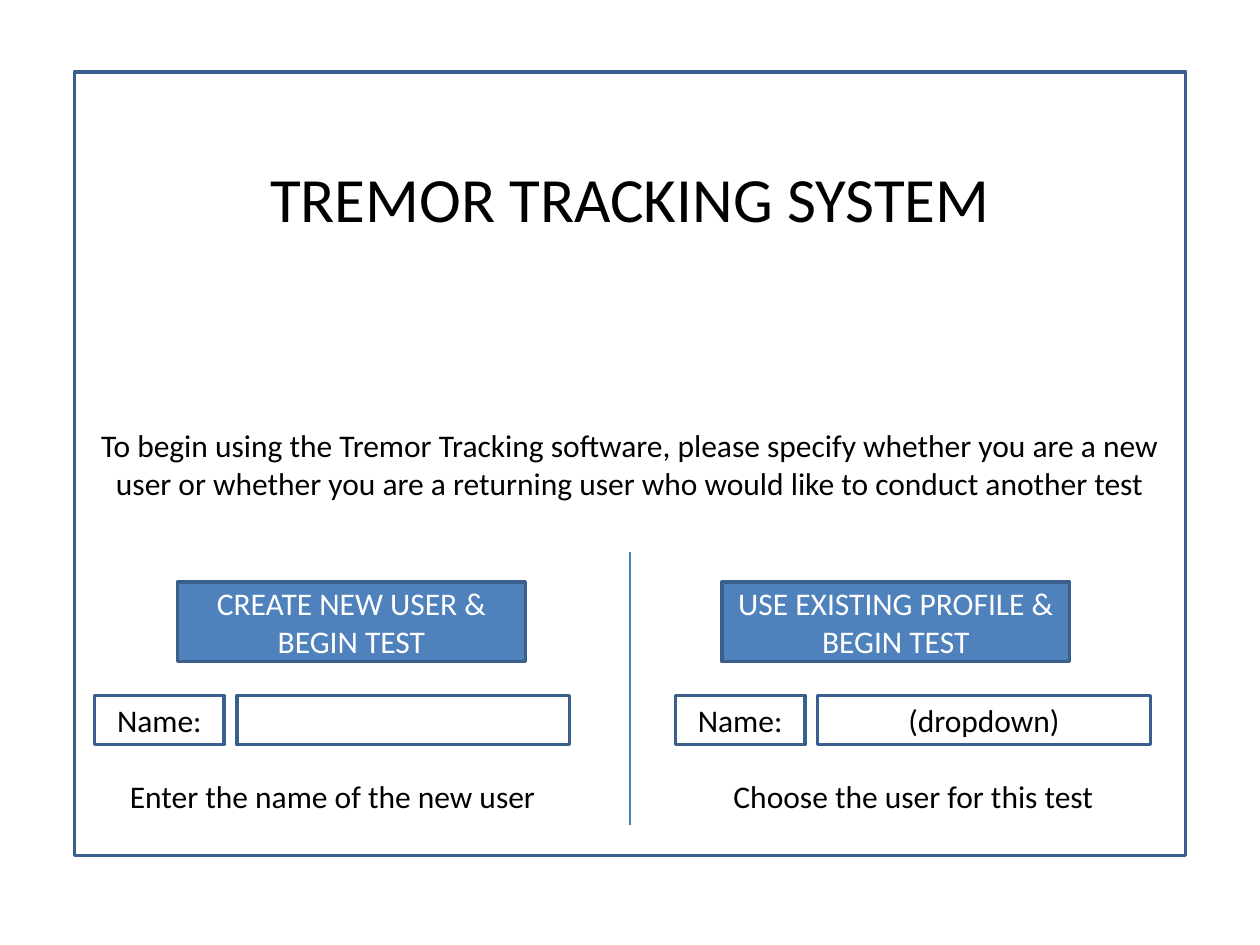
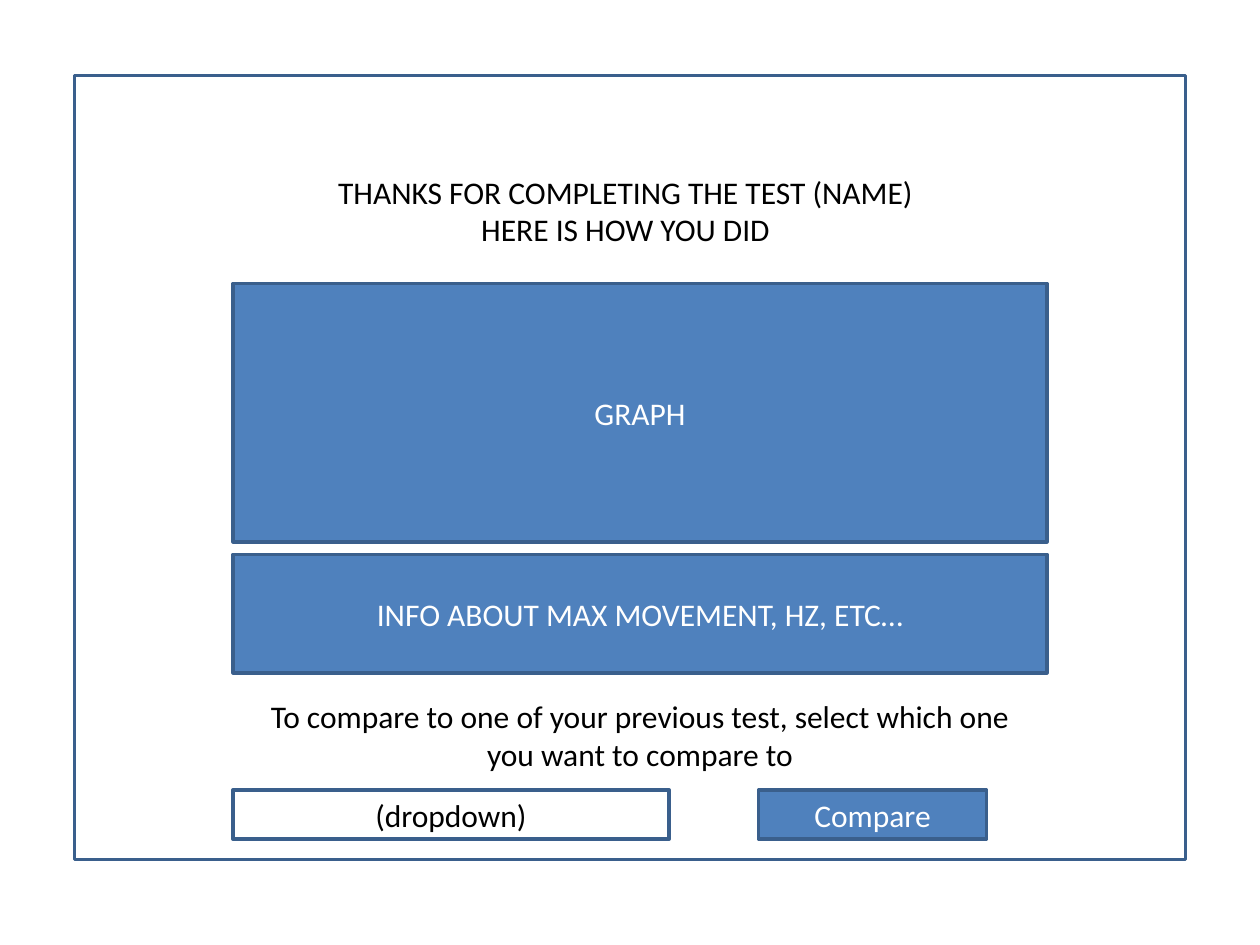
"""Build the two screen mock-ups of a tremor tracking program."""
from lxml import etree
from pptx import Presentation
from pptx.dml.color import RGBColor
from pptx.enum.shapes import MSO_CONNECTOR, MSO_SHAPE
from pptx.enum.text import MSO_ANCHOR, MSO_AUTO_SIZE, PP_ALIGN
from pptx.oxml.ns import qn
from pptx.util import Inches, Pt

RECT = MSO_SHAPE.RECTANGLE
STRAIGHT = MSO_CONNECTOR.STRAIGHT
MIDDLE = MSO_ANCHOR.MIDDLE
CENTER = PP_ALIGN.CENTER
NO_AUTOFIT = MSO_AUTO_SIZE.NONE

FONT = "Calibri"
COLORS = {
    "white": "FFFFFF",
    "text": "000000",
    "button": "4F81BD",
    "border": "3A5F8C",
    "divider": "4B7EBC",
}
TITLE_ONLY = 5
FIELD_H = 0.39


def rgb(name):
    """Return the palette colour of that name."""
    return RGBColor.from_string(COLORS[name])


def write_text(shape, text, color="text", size=18):
    """Write centred text, one paragraph for each line."""
    tf = shape.text_frame
    tf.word_wrap = True
    tf.auto_size = NO_AUTOFIT
    tf.vertical_anchor = MIDDLE
    tf.text = text
    for p in tf.paragraphs:
        p.alignment = CENTER
        p.font.name = FONT
        p.font.size = Pt(size)
        p.font.color.rgb = rgb(color)


def add_box(s, x, y, w, h, text="", fill="white", line="border", color="text"):
    """Add a bordered rectangle with optional text."""
    sp = s.shapes.add_shape(RECT, Inches(x), Inches(y), Inches(w), Inches(h))
    sp.shadow.inherit = False
    sp.fill.solid()
    sp.fill.fore_color.rgb = rgb(fill)
    sp.line.color.rgb = rgb(line)
    sp.line.width = Pt(2)
    if text:
        write_text(sp, text, color)
    return sp


def add_button(s, x, y, w, h, text):
    """Add a blue box with white text."""
    add_box(s, x, y, w, h, text, fill="button", color="white")


def add_prompt(s, x, y, w, h, text):
    """Add an instruction in a box without a visible border."""
    add_box(s, x, y, w, h, text, line="white")


def add_divider(s, x, top, bottom):
    """Add a thin vertical line."""
    cn = s.shapes.add_connector(
        STRAIGHT, Inches(x), Inches(top), Inches(x), Inches(bottom))
    cn.line.color.rgb = rgb("divider")
    cn.line.width = Pt(0.75)
    etree.SubElement(cn.element.spPr, qn("a:effectLst"))


def add_screen(prs, top, title, title_box, title_size, text=""):
    """Add a slide with the window frame and its title on top of it."""
    s = prs.slides.add_slide(prs.slide_layouts[TITLE_ONLY])
    frame = add_box(s, 0.59, top, 8.82, 6.22, text)
    sp = s.shapes.title
    frame.element.addnext(sp.element)
    sp.left, sp.top, sp.width, sp.height = map(Inches, title_box)
    write_text(sp, title, size=title_size)
    return s


def add_user_form(s, x, button_x, action, value, hint):
    """Add a button, a name field and a hint for one kind of user."""
    add_button(s, button_x, 4.62, 2.76, 0.63, action)
    add_box(s, x, 5.52, 1.03, FIELD_H, "Name:")
    add_box(s, x + 1.13, 5.52, 2.64, FIELD_H, value)
    add_prompt(s, x, 6.08, 3.78, 0.47, hint)


def build_start(prs):
    """Build the screen where the user is chosen."""
    s = add_screen(
        prs, 0.57, "TREMOR TRACKING SYSTEM", (1.85, 1.21, 6.3, 0.71), 36,
        "To begin using the Tremor Tracking software, please specify whether "
        "you are a new user or whether you are a returning user who would "
        "like to conduct another test")
    add_user_form(s, 0.75, 1.41, "CREATE NEW USER & BEGIN TEST", "",
                  "Enter the name of the new user")
    add_user_form(s, 5.36, 5.73, "USE EXISTING PROFILE & BEGIN TEST",
                  "(dropdown)", "Choose the user for this test")
    add_divider(s, 5, 4.38, 6.55)


def build_results(prs):
    """Build the screen that shows the test results."""
    s = add_screen(
        prs, 0.6, "THANKS FOR COMPLETING THE TEST (NAME)\nHERE IS HOW YOU DID",
        (1.38, 0.92, 7.17, 1.5), 18)
    left, width = 1.85, 6.46
    add_button(s, left, 2.25, width, 2.05, "GRAPH")
    add_button(s, left, 4.4, width, 0.94, "INFO ABOUT MAX MOVEMENT, HZ, ETC…")
    add_prompt(s, left, 5.56, width, 0.55,
               "To compare to one of your previous test, select which one "
               "you want to compare to")
    add_box(s, left, 6.27, 3.46, FIELD_H, "(dropdown)")
    add_button(s, 6.02, 6.27, 1.81, FIELD_H, "Compare")


def main():
    """Build and save the presentation."""
    prs = Presentation()
    prs.slide_width, prs.slide_height = Inches(10), Inches(7.5)
    build_start(prs)
    build_results(prs)
    prs.save("out.pptx")


if __name__ == "__main__":
    main()
